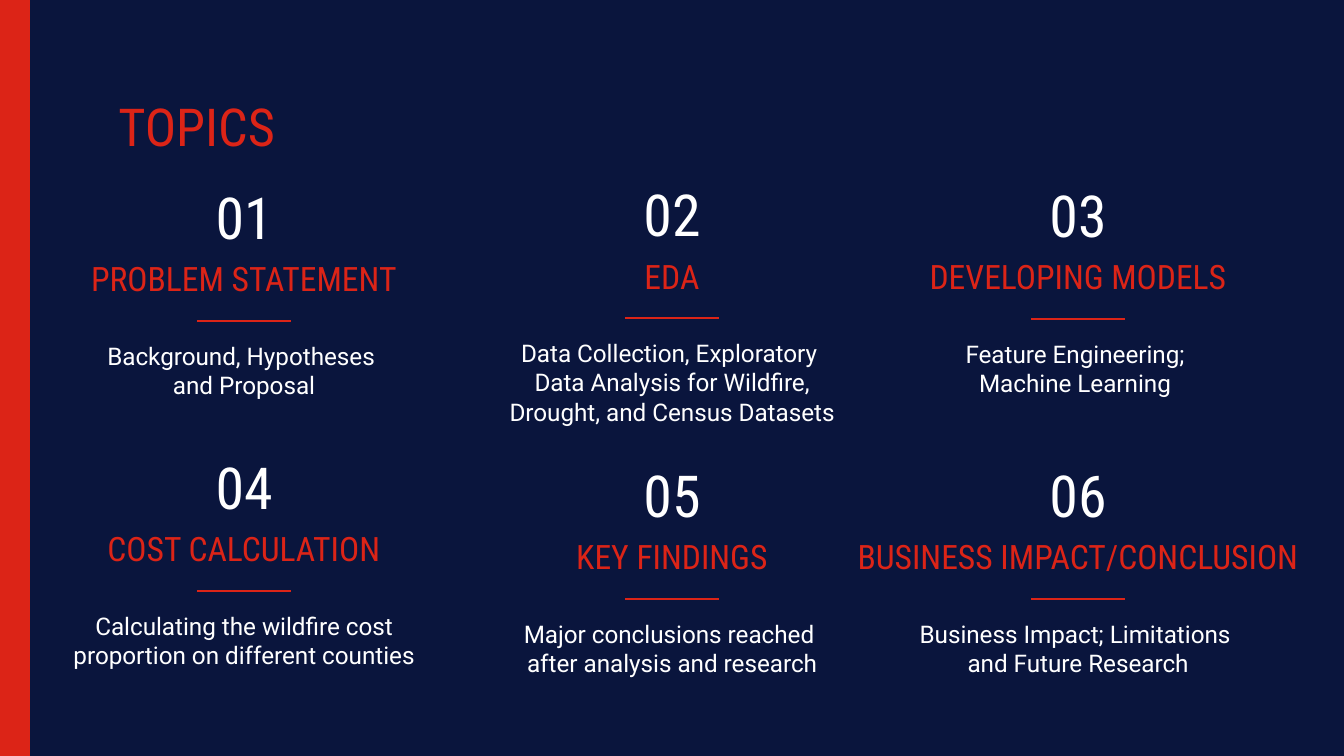
from dataclasses import dataclass

from lxml import etree
from pptx import Presentation
from pptx import util as u
from pptx.dml.color import RGBColor
from pptx.enum import shapes, text
from pptx.oxml import ns

TITLE = "TOPICS"
TOPICS = [
    ("01", "PROBLEM STATEMENT", ["Background, Hypotheses ", "and Proposal"]),
    ("02", "EDA", ["Data Collection, Exploratory ",
                   "Data Analysis for Wildfire, Drought, and Census Datasets"]),
    ("03", "DEVELOPING MODELS", ["Feature Engineering; ", "Machine Learning "]),
    ("04", "COST CALCULATION",
     ["Calculating the wildfire cost proportion on different counties"]),
    ("05", "KEY FINDINGS", ["Major conclusions reached ", "after analysis and research"]),
    ("06", "BUSINESS IMPACT/CONCLUSION",
     ["Business Impact; Limitations ", "and Future Research"]),
]
COLUMN_CENTERS = [244, 672, 1078]
HEADING_TOPS = [245, 242, 243, 515, 523, 523]
LONG_HEADING = 20


@dataclass(frozen=True)
class Theme:
    navy: RGBColor = RGBColor(0x0A, 0x15, 0x3D)
    red: RGBColor = RGBColor(0xDC, 0x24, 0x17)
    white: RGBColor = RGBColor(0xFF, 0xFF, 0xFF)
    display: str = "Roboto Condensed"
    body: str = "Roboto"
    title_size: int = 28
    number_size: int = 31
    heading_size: int = 18
    body_size: int = 13
    rule_width: float = 1.5


THEME = Theme()
WIDTH, HEIGHT = 1344, 756
SCALE = u.Inches(10) / WIDTH


def px(length):
    return u.Emu(round(length * SCALE))


def write(frame, lines, font, size, color, align, anchor=text.MSO_ANCHOR.TOP):
    frame.word_wrap = True
    frame.auto_size = text.MSO_AUTO_SIZE.NONE
    frame.vertical_anchor = anchor
    frame.margin_left = frame.margin_right = u.Inches(0.1)
    frame.margin_top = frame.margin_bottom = u.Inches(0.1)
    for index, line in enumerate(lines):
        paragraph = frame.add_paragraph() if index else frame.paragraphs[0]
        paragraph.alignment = align
        run = paragraph.add_run()
        run.text = line
        run.font.name = font
        run.font.size = u.Pt(size)
        run.font.color.rgb = color


def add_centered(slide, center, top, width, height, lines, *style):
    box = slide.shapes.add_textbox(px(center - width / 2), px(top), px(width), px(height))
    write(box.text_frame, lines, style[0], style[1], style[2],
          text.PP_ALIGN.CENTER, *style[3:])


def add_rule(slide, center, y, length=94):
    rule = slide.shapes.add_connector(
        shapes.MSO_CONNECTOR.STRAIGHT,
        px(center - length / 2), px(y), px(center + length / 2), px(y))
    rule.line.color.rgb = THEME.red
    rule.line.width = u.Pt(THEME.rule_width)
    etree.SubElement(rule._element.spPr, ns.qn("a:effectLst"))


def add_topic(slide, center, top, number, heading, summary):
    heading_width = 472 if len(heading) > LONG_HEADING else 396
    add_centered(slide, center, top - 44, 313, 64, [number],
                 THEME.display, THEME.number_size, THEME.white, text.MSO_ANCHOR.BOTTOM)
    add_centered(slide, center, top, heading_width, 69, [heading],
                 THEME.display, THEME.heading_size, THEME.red)
    add_rule(slide, center, top + 76)
    add_centered(slide, center, top + 83, 396, 90, summary,
                 THEME.body, THEME.body_size, THEME.white)


def main():
    deck = Presentation()
    deck.slide_width, deck.slide_height = px(WIDTH), px(HEIGHT)
    slide = deck.slides.add_slide(deck.slide_layouts[5])
    slide.background.fill.solid()
    slide.background.fill.fore_color.rgb = THEME.navy

    side_bar = slide.shapes.add_shape(
        shapes.MSO_SHAPE.RECTANGLE, 0, 0, px(30), px(HEIGHT))
    side_bar.shadow.inherit = False
    side_bar.fill.solid()
    side_bar.fill.fore_color.rgb = THEME.red
    side_bar.line.fill.background()

    title = slide.shapes.title
    title.left, title.top, title.width, title.height = map(px, (105, 81, 1134, 90))
    write(title.text_frame, [TITLE], THEME.display, THEME.title_size,
          THEME.red, text.PP_ALIGN.LEFT)

    for index, (topic, top) in enumerate(zip(TOPICS, HEADING_TOPS)):
        center = COLUMN_CENTERS[index % len(COLUMN_CENTERS)]
        add_topic(slide, center, top, *topic)

    deck.save("out.pptx")


if __name__ == "__main__":
    main()
